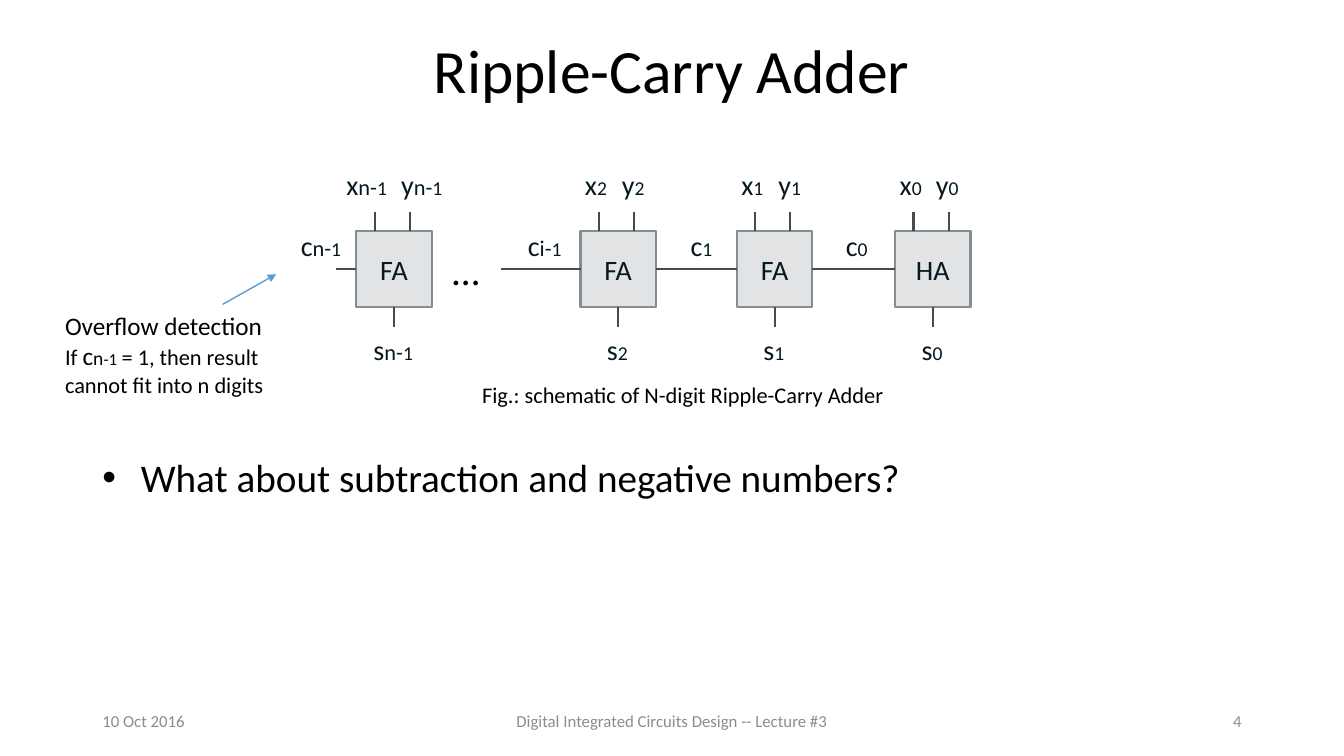
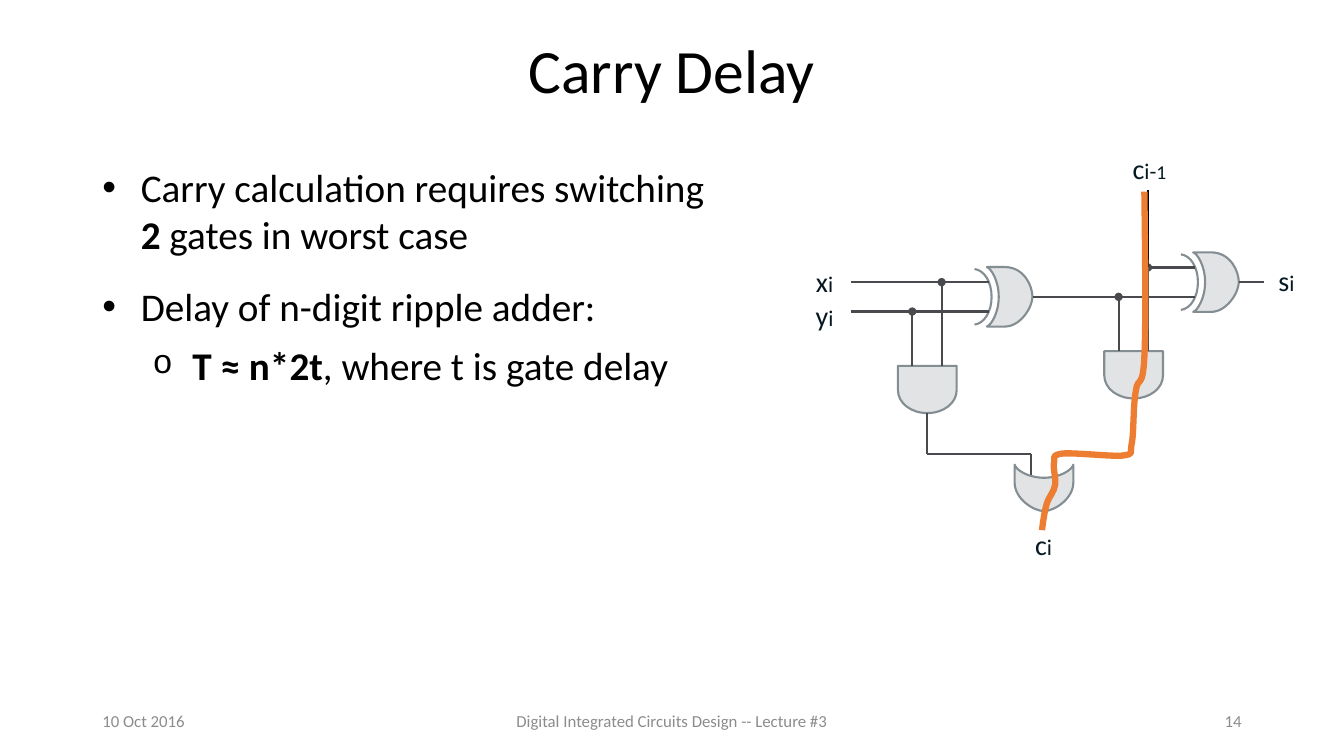
import dataclasses
import itertools

import pptx
import pptx.dml.color
import pptx.enum.shapes
import pptx.enum.text
import pptx.oxml
import pptx.oxml.ns
import pptx.util

Cm = pptx.util.Cm
Pt = pptx.util.Pt
ALIGN = pptx.enum.text.PP_ALIGN
ANCHOR = pptx.enum.text.MSO_ANCHOR
NAMESPACE = pptx.oxml.ns.nsdecls("a")


@dataclasses.dataclass(frozen=True)
class Theme:
    font: str = "Calibri"
    ink: str = "000000"
    symbol: str = "061922"
    footer: str = "8C8C8C"
    gate_fill: str = "E1E3E5"
    gate_line: str = "838D92"
    wire: str = "494A4D"
    pointer: str = "5B9BD5"
    carry: str = "ED7D31"
    title_size: int = 44
    body_size: int = 28
    stem_size: int = 20
    letter_size: int = 16
    digit_size: int = 14
    caption_size: int = 16
    footer_size: int = 12
    wire_width: float = 1.5
    carry_width: float = 4.5


THEME = Theme()
SLIDE_WIDTH, SLIDE_HEIGHT = 33.87, 19.05
MARGIN, CONTENT_WIDTH = 2.33, 29.21
FOOTER_TOP, FOOTER_HEIGHT = 17.65, 1.02
FOOTER_DATE = "10 Oct 2016"
FOOTER_TITLE = "Digital Integrated Circuits Design -- Lecture #3"

BULLETS = [("•", "Arial", 100, 0.97, -0.97, 18), ("o", "Courier New", 86, 2.27, -1.0, 8)]

QUESTION = [(0, [("What about subtraction and negative numbers?", False)])]
DELAY_POINTS = [
    (0, [("Carry calculation requires switching ", False), ("2", True),
         (" gates in worst case", False)]),
    (0, [("Delay of n-digit ripple adder:", False)]),
    (1, [("T ≈ n*2t", True), (", where t is gate delay", False)]),
]
OVERFLOW_NOTE = [
    [("Overflow detection", 18)],
    [("If ", 16), ("c", 18), ("n", 14), ("-1", 12), (" ", 14),
     ("= 1, then result cannot fit into n digits", 16)],
]
CAPTION = "Fig.: schematic of N-digit Ripple-Carry Adder"

ADDER_TOP, ADDER_SIDE = 5.83, 1.9
PIN_LENGTH = 0.5
PIN_OFFSETS = (-0.49, 0.4)
ADDERS = [
    {"name": "FA", "left": 8.98, "digit": "n-1", "carry": "n-1",
     "carry_center": 8.09, "wire_start": 8.48, "inputs": (-0.69, 0.7)},
    {"name": "FA", "left": 14.63, "digit": "2", "carry": "i-1",
     "carry_center": 13.73, "wire_start": 12.62, "inputs": (-0.56, 0.38)},
    {"name": "FA", "left": 18.57, "digit": "1", "carry": "1",
     "carry_center": 17.68, "wire_start": None, "inputs": (-0.56, 0.38)},
    {"name": "HA", "left": 22.56, "digit": "0", "carry": "0",
     "carry_center": 21.59, "wire_start": None, "inputs": (-0.56, 0.36)},
]

XOR_BODY = [(-0.7, -0.75), (-1.15, -0.75), (-1.05, -0.72, -0.85, -0.42, -0.85, 0),
            (-0.85, 0.42, -1.05, 0.72, -1.15, 0.75), (-0.7, 0.75),
            (-0.3, 0.75, 0, 0.26, 0, 0), (0, -0.26, -0.2, -0.75, -0.7, -0.75)]
XOR_BACK = [(-1.46, -0.7), (-1.21, -0.67, -1.03, -0.37, -1.03, 0),
            (-1.03, 0.37, -1.21, 0.67, -1.46, 0.7)]
AND_BODY = [(0.74, 0), (0.74, 0.61), (0.74, 0.94, 0.41, 1.19, 0, 1.19),
            (-0.41, 1.19, -0.74, 0.94, -0.74, 0.61), (-0.74, 0), (0.74, 0)]
OR_BODY = [(0.74, 0.45), (0.74, 0), (0.71, 0.13, 0.4, 0.33, 0, 0.33),
           (-0.4, 0.33, -0.71, 0.13, -0.74, 0), (-0.74, 0.45),
           (-0.74, 0.86, -0.26, 1.17, 0, 1.17), (0.26, 1.17, 0.74, 0.86, 0.74, 0.45)]
CARRY_ROUTE = [
    (28.84, 4.83), (28.86, 6.5, 28.88, 8.15, 28.84, 8.99),
    (28.8, 9.83, 28.68, 9.47, 28.63, 9.83), (28.55, 10.21, 28.58, 10.92, 28.52, 11.18),
    (28.47, 11.46, 28.58, 11.43, 28.3, 11.48), (28.02, 11.51, 27.08, 11.4, 26.77, 11.43),
    (26.49, 11.48, 26.59, 11.51, 26.57, 11.63), (26.52, 11.76, 26.62, 12.04, 26.59, 12.22),
    (26.57, 12.4, 26.42, 12.52, 26.37, 12.73), (26.31, 12.93, 26.26, 13.36, 26.26, 13.36),
]

HALF_ADDERS = [(26.02, 7.48, -4.58), (31.22, 7.11, -2.21)]
INPUT_OFFSET = 0.37
AND_CENTER, AND_TOP = -2.65, 1.74
OR_ANCHOR = (26.31, 11.71)
OUTPUT_WIRES = [
    (26.31, 12.83, 26.31, 13.34),
    (23.37, 10.95, 23.37, 11.45), (23.37, 11.45, 25.98, 11.45),
    (28.55, 10.52, 28.55, 11.45), (26.62, 11.45, 28.55, 11.45),
    (25.98, 11.45, 25.98, 11.96), (26.62, 11.45, 26.62, 11.96),
]
CARRY_IN = (28.92, 6.73, 28.92, 4.78)
SIGNALS = [("x", "i", 20.78, 6.53), ("y", "i", 20.78, 7.39), ("s", "i", 32.42, 6.5),
           ("c", "i-1", 28.97, 3.67), ("c", "i", 26.3, 13.16)]


def rgb(value):
    return pptx.dml.color.RGBColor.from_string(value)


def element(markup):
    tag, _, attributes = markup.partition(" ")
    return pptx.oxml.parse_xml(f"<a:{tag} {NAMESPACE} {attributes}/>")


def fill_paragraph(paragraph, runs, color, align=ALIGN.LEFT):
    paragraph.alignment = align
    for text, size, bold in runs:
        run = paragraph.add_run()
        run.text = text
        run.font.name = THEME.font
        run.font.size = Pt(size)
        run.font.bold = bold
        run.font.color.rgb = rgb(color)


def add_text(slide, box, paragraphs, color=THEME.ink, align=ALIGN.LEFT,
             anchor=ANCHOR.TOP, wrap=True):
    frame = slide.shapes.add_textbox(*map(Cm, box)).text_frame
    frame.word_wrap = wrap
    frame.vertical_anchor = anchor
    for index, runs in enumerate(paragraphs):
        paragraph = frame.add_paragraph() if index else frame.paragraphs[0]
        fill_paragraph(paragraph, runs, color, align)
    return frame


def add_bullets(slide, box, points):
    paragraphs = [[(text, THEME.body_size, bold) for text, bold in runs] for _, runs in points]
    frame = add_text(slide, box, paragraphs)
    for index, (paragraph, (level, _)) in enumerate(zip(frame.paragraphs, points)):
        mark, font, percent, margin, indent, space = BULLETS[level]
        properties = paragraph._p.get_or_add_pPr()
        properties.set("marL", str(Cm(margin)))
        properties.set("indent", str(Cm(indent)))
        for markup in (f'buSzPct val="{percent * 1000}"', f'buFont typeface="{font}"',
                       f'buChar char="{mark}"'):
            properties.append(element(markup))
        paragraph.level = level
        if index:
            paragraph.space_before = Pt(space)


def add_signal(slide, stem, subscript, center, top):
    runs = [(stem, THEME.stem_size, False)]
    for is_digit, letters in itertools.groupby(subscript, str.isdigit):
        size = THEME.digit_size if is_digit else THEME.letter_size
        runs.append(("".join(letters), size, False))
    width = 1.55
    add_text(slide, (center - width / 2, top, width, 1.12), [runs], THEME.symbol,
             ALIGN.CENTER, ANCHOR.MIDDLE, wrap=False)


def add_wire(slide, ends, color=THEME.wire, width=THEME.wire_width, tip=None):
    wire = slide.shapes.add_connector(
        pptx.enum.shapes.MSO_CONNECTOR.STRAIGHT, *map(Cm, ends))
    wire.line.color.rgb = rgb(color)
    wire.line.width = Pt(width)
    if tip:
        wire.line._get_or_add_ln().append(element(f'tailEnd type="{tip}"'))
    wire._element.spPr.append(element("effectLst"))
    return wire


def bend_curves(shape, outline):
    lines = iter(list(shape._element.iter(pptx.oxml.ns.qn("a:lnTo"))))
    for segment in outline[1:]:
        first, *others = itertools.islice(lines, len(segment) // 2)
        if others:
            curve = element("cubicBezTo")
            first.addprevious(curve)
            for line in (first, *others):
                curve.append(line[0])
                line.getparent().remove(line)


def add_outline(slide, outline, anchor=(0, 0), fill=None, color=THEME.gate_line,
                width=THEME.wire_width):
    points = [(Cm(anchor[0] + segment[i]), Cm(anchor[1] + segment[i + 1]))
              for segment in outline for i in range(0, len(segment), 2)]
    builder = slide.shapes.build_freeform(*points[0])
    builder.add_line_segments(points[1:], close=fill is not None)
    shape = builder.convert_to_shape()
    bend_curves(shape, outline)
    style_shape(shape, fill, color, width)


def style_shape(shape, fill, color, width=THEME.wire_width):
    shape.shadow.inherit = False
    if fill:
        shape.fill.solid()
        shape.fill.fore_color.rgb = rgb(fill)
    else:
        shape.fill.background()
    shape.line.color.rgb = rgb(color)
    shape.line.width = Pt(width)


def add_slide(deck, title, number):
    slide = deck.slides.add_slide(deck.slide_layouts[6])
    heading = add_text(slide, (MARGIN, 0, CONTENT_WIDTH, 3.7),
                       [[(title, THEME.title_size, False)]],
                       align=ALIGN.CENTER, anchor=ANCHOR.MIDDLE)
    heading.paragraphs[0].line_spacing = 0.9
    for text, left, width, align in [
        (FOOTER_DATE, MARGIN, 7.62, ALIGN.LEFT),
        (FOOTER_TITLE, 11.22, 11.43, ALIGN.CENTER),
        (number, MARGIN + CONTENT_WIDTH - 7.62, 7.62, ALIGN.RIGHT),
    ]:
        add_text(slide, (left, FOOTER_TOP, width, FOOTER_HEIGHT),
                 [[(text, THEME.footer_size, False)]], THEME.footer, align, ANCHOR.MIDDLE)
    return slide


def add_adder(slide, adder, previous):
    center = adder["left"] + ADDER_SIDE / 2
    middle, bottom = ADDER_TOP + ADDER_SIDE / 2, ADDER_TOP + ADDER_SIDE
    block = slide.shapes.add_shape(
        pptx.enum.shapes.MSO_SHAPE.RECTANGLE,
        *map(Cm, (adder["left"], ADDER_TOP, ADDER_SIDE, ADDER_SIDE)))
    style_shape(block, THEME.gate_fill, THEME.gate_line)
    block.text_frame.word_wrap = False
    block.text_frame.vertical_anchor = ANCHOR.MIDDLE
    fill_paragraph(block.text_frame.paragraphs[0],
                   [(adder["name"], THEME.stem_size, False)], THEME.symbol, ALIGN.CENTER)
    for stem, pin, label in zip("xy", PIN_OFFSETS, adder["inputs"]):
        add_wire(slide, (center + pin, ADDER_TOP, center + pin, ADDER_TOP - PIN_LENGTH))
        add_signal(slide, stem, adder["digit"], center + label, 4.08)
    sum_wire = add_wire(slide, (center, bottom, center, bottom + PIN_LENGTH))
    sum_wire.begin_connect(block, 2)
    add_signal(slide, "s", adder["digit"], center - 0.02, 8.23)
    start = adder["wire_start"] or adder["left"]
    carry_wire = add_wire(slide, (start, middle, adder["left"], middle))
    carry_wire.end_connect(block, 1)
    if adder["wire_start"] is None:
        carry_wire.begin_connect(previous, 3)
    add_signal(slide, "c", adder["carry"], adder["carry_center"], 5.62)
    return block


def add_half_adder(slide, x, y, input_start):
    and_x, and_y = x + AND_CENTER, y + AND_TOP
    upper, lower = y - INPUT_OFFSET, y + INPUT_OFFSET
    add_outline(slide, AND_BODY, (and_x, and_y), THEME.gate_fill)
    add_outline(slide, XOR_BODY, (x, y), THEME.gate_fill)
    add_outline(slide, XOR_BACK, (x, y))
    add_wire(slide, (x - 1.1, upper, x + input_start, upper))
    add_wire(slide, (x - 1.1, lower, x - 4.57, lower))
    add_wire(slide, (and_x + 0.36, and_y, and_x + 0.36, upper), tip="oval")
    add_wire(slide, (and_x - 0.38, and_y, and_x - 0.38, lower), tip="oval")
    add_wire(slide, (x, y, x + 0.63, y))
    add_wire(slide, (and_x, y + 3.49, and_x, y + 2.93))


def build_ripple_slide(deck):
    slide = add_slide(deck, "Ripple-Carry Adder", "4")
    add_bullets(slide, (MARGIN, 11.3, CONTENT_WIDTH, 5.87), QUESTION)
    previous = None
    for adder in ADDERS:
        previous = add_adder(slide, adder, previous)
    add_text(slide, (11.9, 9.48, 10.64, 0.94), [[(CAPTION, THEME.caption_size, False)]],
             wrap=False)
    add_text(slide, (11.15, 6.07, 1.19, 1.45), [[("…", THEME.body_size, False)]], wrap=False)
    add_text(slide, (1.39, 7.7, 5.94, 2.49),
             [[(text, size, False) for text, size in line] for line in OVERFLOW_NOTE])
    add_wire(slide, (5.61, 7.67, 6.96, 6.91), THEME.pointer, 1, "triangle")


def build_delay_slide(deck):
    slide = add_slide(deck, "Carry Delay", "14")
    add_bullets(slide, (MARGIN, 3.99, 16.21, 13.18), DELAY_POINTS)
    for half_adder in HALF_ADDERS:
        add_half_adder(slide, *half_adder)
    add_wire(slide, CARRY_IN, THEME.ink)
    for ends in OUTPUT_WIRES:
        add_wire(slide, ends)
    add_outline(slide, OR_BODY, OR_ANCHOR, THEME.gate_fill)
    for signal in SIGNALS:
        add_signal(slide, *signal)
    add_outline(slide, CARRY_ROUTE, color=THEME.carry, width=THEME.carry_width)


def main():
    deck = pptx.Presentation()
    deck.slide_width, deck.slide_height = Cm(SLIDE_WIDTH), Cm(SLIDE_HEIGHT)
    build_ripple_slide(deck)
    build_delay_slide(deck)
    deck.save("out.pptx")


if __name__ == "__main__":
    main()
